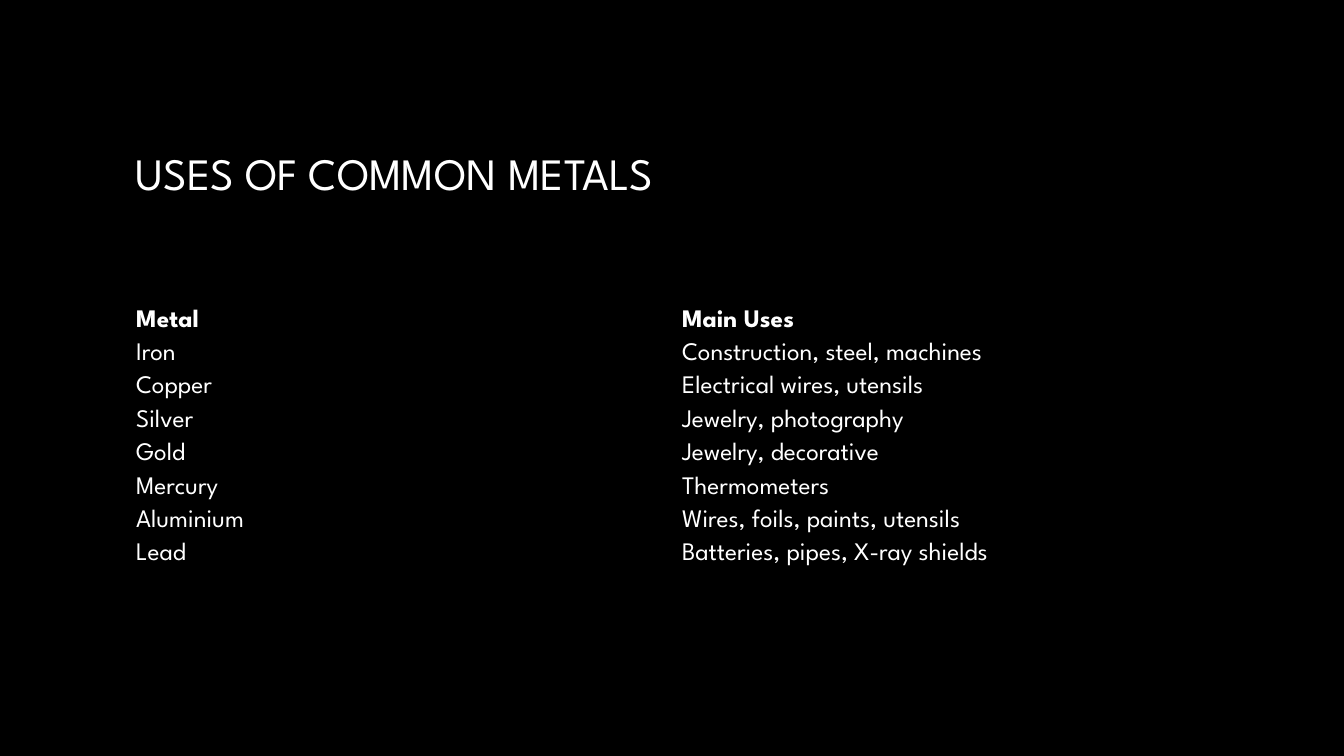
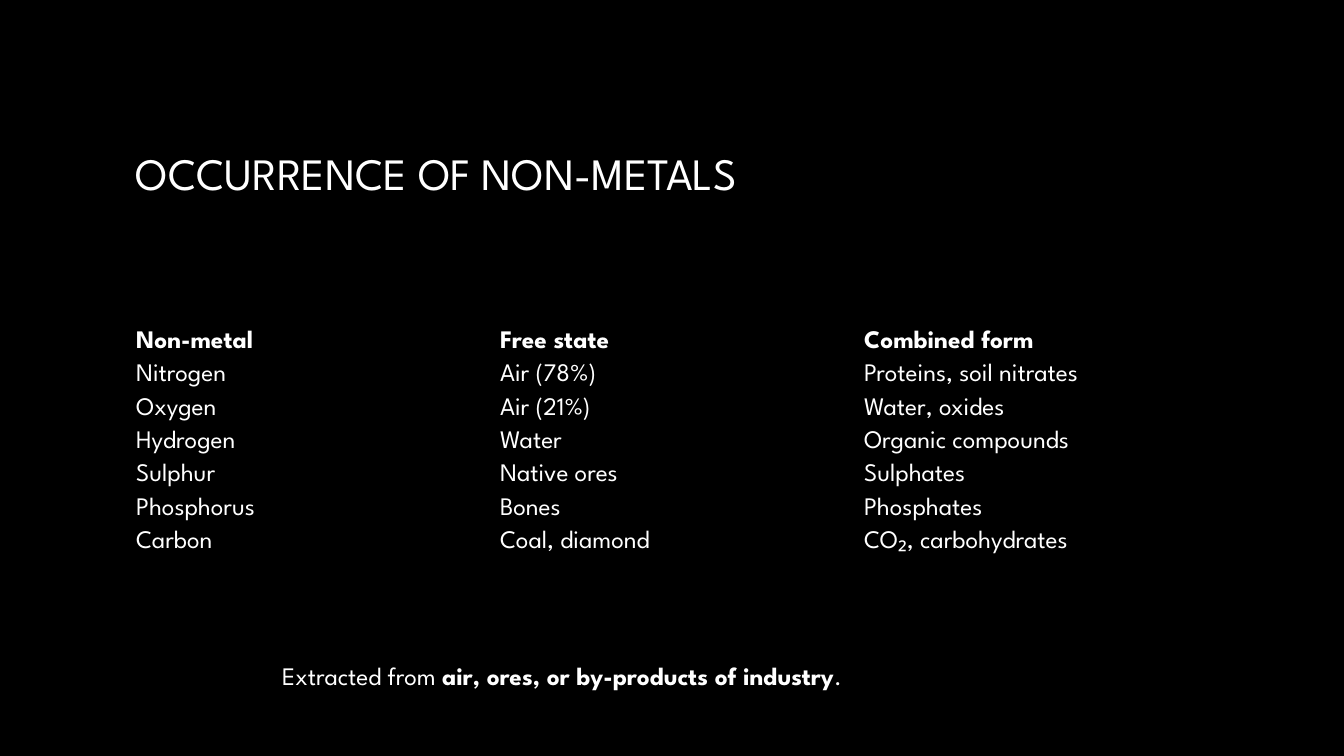
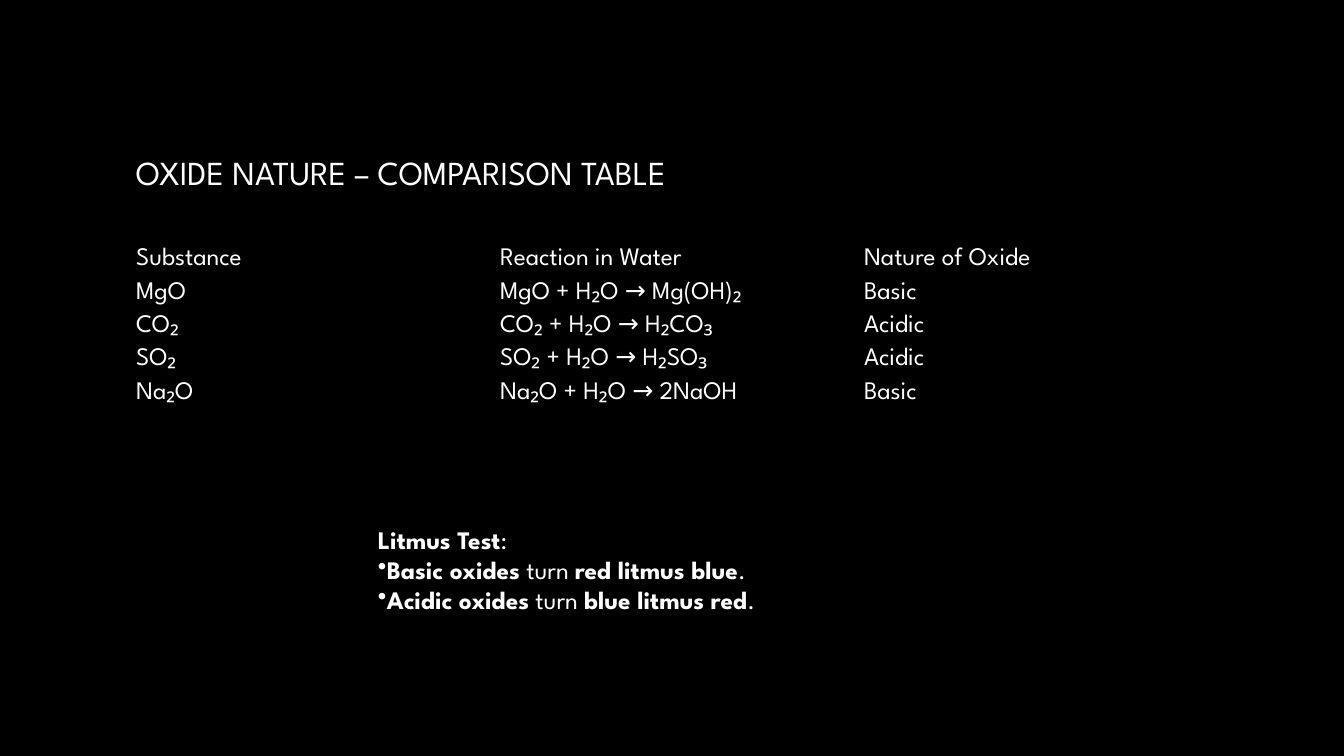
from dataclasses import dataclass
from typing import Optional

from lxml.etree import SubElement
from pptx import Presentation
from pptx.dml.color import RGBColor
from pptx.enum.text import MSO_ANCHOR, MSO_AUTO_SIZE
from pptx.oxml.ns import qn
from pptx.slide import Slide
from pptx.text.text import Font, TextFrame
from pptx.util import Inches, Pt


@dataclass(frozen=True)
class Theme:
    font: str = "League Spartan"
    background: RGBColor = RGBColor(0x00, 0x00, 0x00)
    text: RGBColor = RGBColor(0xFF, 0xFF, 0xFF)
    title_fade: RGBColor = RGBColor(0xA6, 0xA6, 0xA6)
    title_angle: int = 267
    body_size: int = 18
    slide_width: float = 13.33
    slide_height: float = 7.5
    margin: float = 1.25
    title_top: float = 0.67
    title_height: float = 2.08
    row_height: float = 0.33
    cell_padding_points: float = 1.13
    note_width: float = 6.67
    plain_table_style: str = "{2D5ABB26-0587-4C30-8999-92F81FD0307C}"

    @property
    def content_width(self) -> float:
        return self.slide_width - 2 * self.margin


THEME = Theme()


@dataclass(frozen=True)
class Note:
    """Lines of text; **...** marks bold and a leading bullet makes a list item."""
    left: float
    top: float
    height: float
    lines: tuple[str, ...]


@dataclass(frozen=True)
class Topic:
    title: str
    table_top: float
    rows: tuple[tuple[str, ...], ...]
    title_size: int = 32
    bold_header: bool = True
    note: Optional[Note] = None


TOPICS = (
    Topic(
        title="USES OF COMMON METALS",
        table_top=3.02,
        rows=(
            ("Metal", "Main Uses"),
            ("Iron", "Construction, steel, machines"),
            ("Copper", "Electrical wires, utensils"),
            ("Silver", "Jewelry, photography"),
            ("Gold", "Jewelry, decorative"),
            ("Mercury", "Thermometers"),
            ("Aluminium", "Wires, foils, paints, utensils"),
            ("Lead", "Batteries, pipes, X-ray shields"),
        ),
    ),
    Topic(
        title="OCCURRENCE OF NON-METALS",
        table_top=3.23,
        rows=(
            ("Non-metal", "Free state", "Combined form"),
            ("Nitrogen", "Air (78%)", "Proteins, soil nitrates"),
            ("Oxygen", "Air (21%)", "Water, oxides"),
            ("Hydrogen", "Water", "Organic compounds"),
            ("Sulphur", "Native ores", "Sulphates"),
            ("Phosphorus", "Bones", "Phosphates"),
            ("Carbon", "Coal, diamond", "CO₂, carbohydrates"),
        ),
        note=Note(2.7, 6.5, 0.4, (
            "Extracted from **air, ores, or by-products of industry**.",
        )),
    ),
    Topic(
        title="OXIDE NATURE – COMPARISON TABLE",
        title_size=24,
        table_top=2.41,
        bold_header=False,
        rows=(
            ("Substance", "Reaction in Water", "Nature of Oxide"),
            ("MgO", "MgO + H₂O → Mg(OH)₂", "Basic"),
            ("CO₂", "CO₂ + H₂O → H₂CO₃", "Acidic"),
            ("SO₂", "SO₂ + H₂O → H₂SO₃", "Acidic"),
            ("Na₂O", "Na₂O + H₂O → 2NaOH", "Basic"),
        ),
        note=Note(3.65, 5.15, 1.01, (
            "**Litmus Test**:",
            "•**Basic oxides** turn **red litmus blue**.",
            "•**Acidic oxides** turn **blue litmus red**.",
        )),
    ),
)


def style_font(font: Font, size: int = THEME.body_size, bold: bool = False) -> None:
    font.name = THEME.font
    font.size = Pt(size)
    font.bold = bold
    font.color.rgb = THEME.text


def add_text_frame(slide: Slide, left: float, top: float,
                   width: float, height: float) -> TextFrame:
    box = slide.shapes.add_textbox(
        Inches(left), Inches(top), Inches(width), Inches(height))
    box.text_frame.word_wrap = True
    return box.text_frame


def add_title(slide: Slide, topic: Topic) -> None:
    frame = add_text_frame(slide, THEME.margin, THEME.title_top,
                           THEME.content_width, THEME.title_height)
    frame.vertical_anchor = MSO_ANCHOR.MIDDLE
    frame.text = topic.title
    font = frame.paragraphs[0].runs[0].font
    style_font(font, topic.title_size)
    font.fill.gradient()
    font.fill.gradient_angle = THEME.title_angle
    for stop, color in zip(font.fill.gradient_stops, (THEME.text, THEME.title_fade)):
        stop.color.rgb = color


def add_grid(slide: Slide, topic: Topic) -> None:
    """Draw the topic's rows as a table without fills or borders."""
    row_count, column_count = len(topic.rows), len(topic.rows[0])
    table = slide.shapes.add_table(
        row_count, column_count, Inches(THEME.margin), Inches(topic.table_top),
        Inches(THEME.content_width), Inches(THEME.row_height * row_count)).table
    table.first_row = table.horz_banding = False
    table._tbl.tblPr.find(qn("a:tableStyleId")).text = THEME.plain_table_style
    for row_index, entries in enumerate(topic.rows):
        for column_index, entry in enumerate(entries):
            cell = table.cell(row_index, column_index)
            cell.fill.background()
            cell.vertical_anchor = MSO_ANCHOR.MIDDLE
            cell.margin_top = cell.margin_bottom = Pt(THEME.cell_padding_points)
            cell.text_frame.text = entry
            style_font(cell.text_frame.paragraphs[0].runs[0].font,
                       bold=topic.bold_header and row_index == 0)


def add_note(slide: Slide, note: Note) -> None:
    frame = add_text_frame(slide, note.left, note.top, THEME.note_width, note.height)
    frame.auto_size = MSO_AUTO_SIZE.SHAPE_TO_FIT_TEXT
    for index, line in enumerate(note.lines):
        paragraph = frame.add_paragraph() if index else frame.paragraphs[0]
        if line.startswith("•"):
            properties = paragraph._p.get_or_add_pPr()
            SubElement(properties, qn("a:buChar")).set("char", "•")
        for position, part in enumerate(line.removeprefix("•").split("**")):
            if part:
                run = paragraph.add_run()
                run.text = part
                style_font(run.font, bold=position % 2 == 1)


def main() -> None:
    presentation = Presentation()
    presentation.slide_width = Inches(THEME.slide_width)
    presentation.slide_height = Inches(THEME.slide_height)
    blank_layout = presentation.slide_layouts[6]
    for topic in TOPICS:
        slide = presentation.slides.add_slide(blank_layout)
        slide.background.fill.solid()
        slide.background.fill.fore_color.rgb = THEME.background
        add_title(slide, topic)
        add_grid(slide, topic)
        if topic.note:
            add_note(slide, topic.note)
    presentation.save("out.pptx")


if __name__ == "__main__":
    main()
